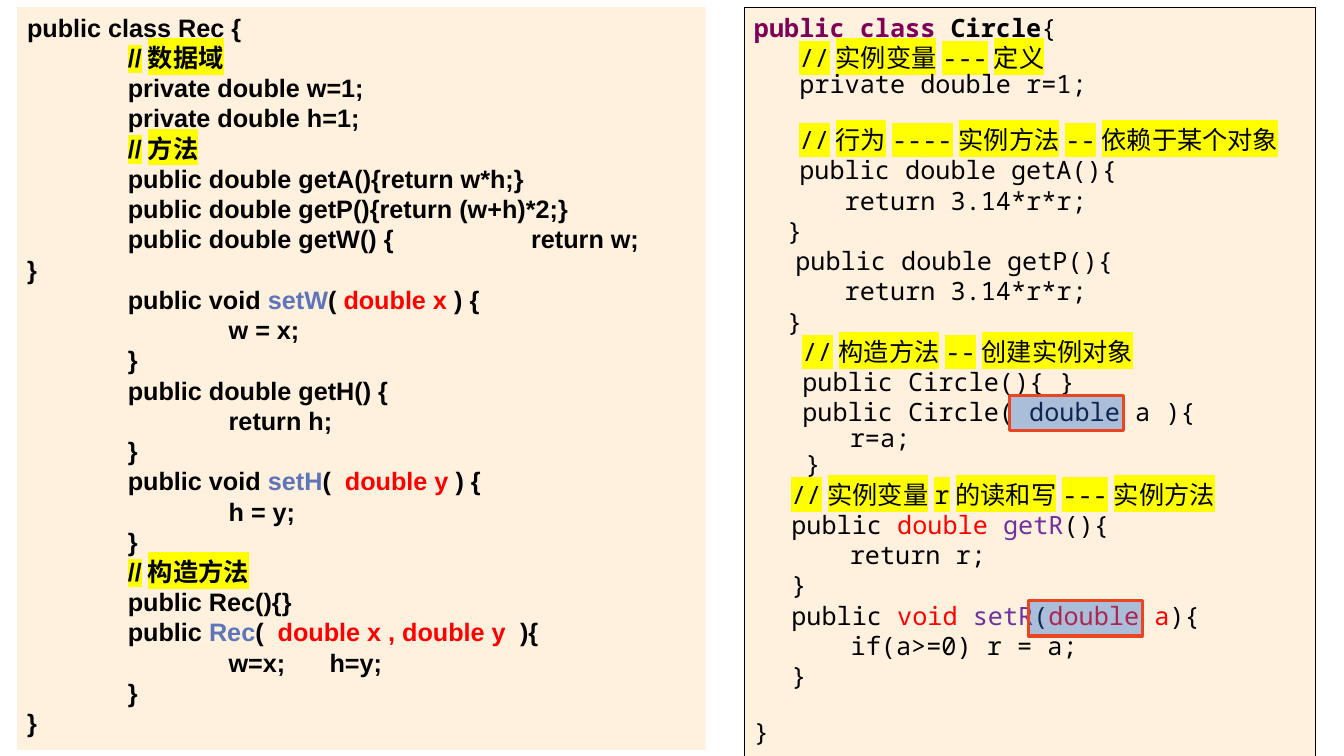
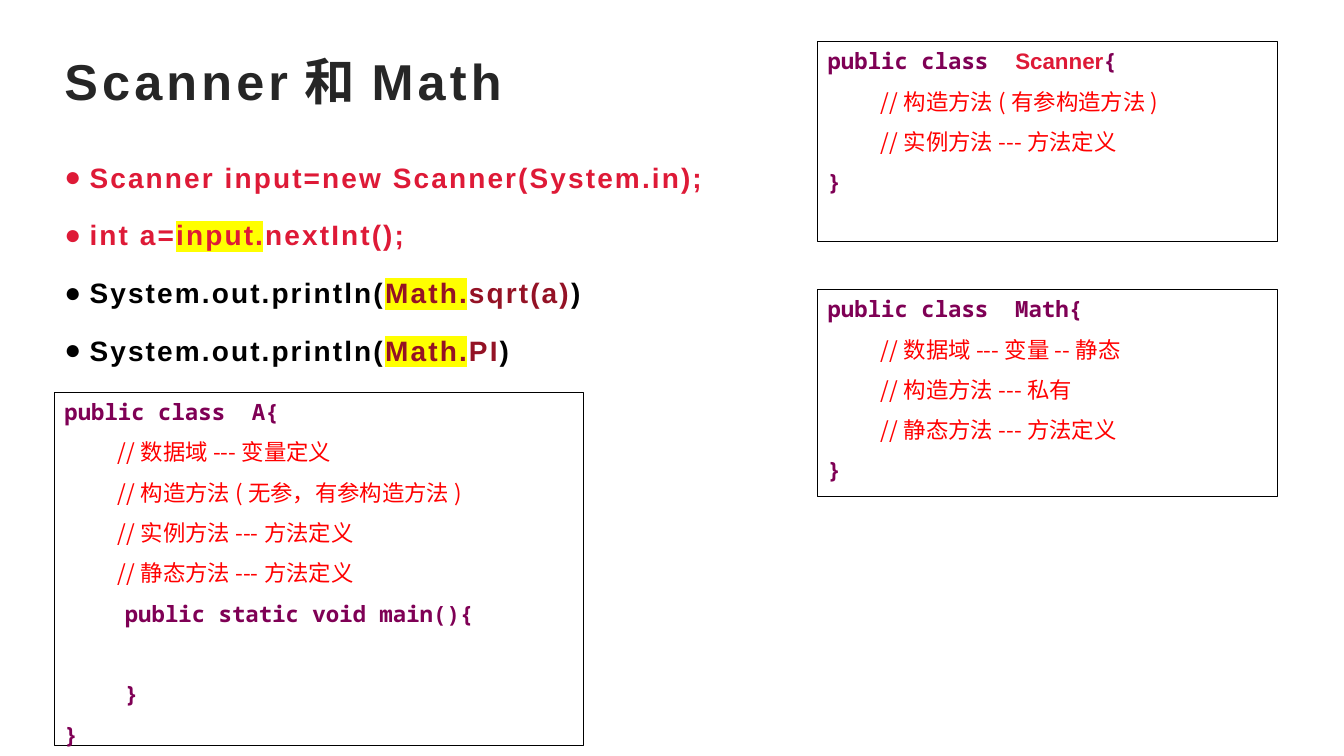
from lxml import etree
from pptx import Presentation
from pptx.dml.color import RGBColor
from pptx.enum.shapes import MSO_SHAPE
from pptx.enum.text import MSO_ANCHOR
from pptx.oxml.ns import qn
from pptx.util import Inches, Pt

RECT = MSO_SHAPE.RECTANGLE
TOP, MIDDLE = MSO_ANCHOR.TOP, MSO_ANCHOR.MIDDLE

BLACK = RGBColor(0x00, 0x00, 0x00)
WHITE = RGBColor(0xFF, 0xFF, 0xFF)
CREAM = RGBColor(0xFF, 0xF1, 0xDD)
YELLOW = RGBColor(0xFF, 0xFF, 0x00)
RED = RGBColor(0xFF, 0x00, 0x00)
CRIMSON = RGBColor(0xDE, 0x1A, 0x37)
MAROON = RGBColor(0x94, 0x12, 0x25)
PLUM = RGBColor(0x7F, 0x00, 0x55)
PURPLE = RGBColor(0x70, 0x30, 0xA0)
STEEL = RGBColor(0x5E, 0x75, 0xBA)
BLUE = RGBColor(0x21, 0x69, 0xD3)
ORANGE = RGBColor(0xE9, 0x45, 0x20)
CHARCOAL = RGBColor(0x26, 0x26, 0x26)

SANS, MONO, CJK = "Arial", "Noto Sans Mono", "Noto Sans CJK SC"

TITLE = {"size": Pt(36), "name": SANS, "bold": True, "color": CHARCOAL, "spacing": 3}
BODY = {"size": Pt(20), "name": SANS, "bold": True, "color": CRIMSON, "spacing": 1.5}
REC_CODE = {"size": Pt(18), "name": SANS, "bold": True, "color": BLACK}
CIRCLE_CODE = {"size": Pt(18), "name": MONO, "bold": False, "color": BLACK}
OUTLINE_CODE = {"size": Pt(16), "name": MONO, "bold": True, "color": PLUM}

MARK = {"highlight": YELLOW}
KEYWORD = {"bold": True, "color": PLUM}
STRONG = {"bold": True}
PARAM = {"color": RED}
METHOD = {"color": STEEL}
ACCESSOR = {"color": PURPLE}
PLAIN = {"color": BLACK}
STATIC = {"color": MAROON}
NOTE = {"name": CJK, "bold": False, "color": RED}
CLASS_NAME = {"name": SANS, "color": CRIMSON}

TIGHT = {"line_spacing": Pt(18.6)}
GAP = {"space_before": Pt(18.6)}
HEAD = {"line_spacing": Pt(20)}
ROW = {"line_spacing": 1.5}
BULLET = {"line_spacing": 1.3, "space_after": Pt(10)}
TAB_STOPS = range(1, 8)

REC_LINES = [
    ["public class Rec {"],
    ["\t", ("//数据域", MARK)],
    ["\tprivate double w=1;"],
    ["\tprivate double h=1;"],
    ["\t", ("//方法", MARK)],
    ["\tpublic double getA(){return w*h;}"],
    ["\tpublic double getP(){return (w+h)*2;}"],
    ["\tpublic double getW() {\t\treturn w;\t}"],
    ["\tpublic void ", ("setW", METHOD), "( ", ("double x ", PARAM), ") {"],
    ["\t\tw = x;"],
    ["\t}"],
    ["\tpublic double getH() {"],
    ["\t\treturn h;"],
    ["\t}"],
    ["\tpublic void", (" setH", METHOD), "(  ", ("double y ", PARAM), ") {"],
    ["\t\th = y;"],
    ["\t}"],
    ["\t", ("//构造方法", MARK)],
    ["\tpublic Rec(){}"],
    ["\tpublic ", ("Rec", METHOD), "(  ", ("double x , double y  ", PARAM), "){"],
    ["\t\tw=x;\th=y;"],
    ["\t}"],
    ["}"],
]

CIRCLE_LINES = [
    (0, [("public class ", KEYWORD), ("Circle", STRONG), "{"], {}),
    (0.45, [("//实例变量---定义", MARK)], {}),
    (0.45, ["private double r=1;"], TIGHT),
    (0.45, [("//行为----实例方法--依赖于某个对象", MARK)], GAP),
    (0.45, ["public double getA(){"], {}),
    (0.9, ["return 3.14*r*r;"], {}),
    (0.33, ["}"], {}),
    (0.41, ["public double getP(){"], {}),
    (0.9, ["return 3.14*r*r;"], {}),
    (0.33, ["}"], {}),
    (0.48, [("//构造方法--创建实例对象", MARK)], {}),
    (0.48, ["public Circle(){ }"], {}),
    (0.48, ["public Circle( double a ){"], {}),
    (0.95, ["r=a;"], TIGHT),
    (0.51, ["}"], TIGHT),
    (0.37, [("//实例变量r的读和写---实例方法", MARK)], {}),
    (0.37, ["public ", ("double ", PARAM), ("getR", ACCESSOR), "(){"], {}),
    (0.95, ["return r;"], {}),
    (0.37, ["}"], {}),
    (0.37, ["public ", ("void ", PARAM), ("setR", ACCESSOR), "(", ("double a", PARAM), "){"], {}),
    (0.96, ["if(a>=0) r = a;"], {}),
    (0.37, ["}"], {}),
    (0, ["}"], GAP),
]

BULLETS = [
    ["Scanner input=new Scanner(System.in);"],
    ["int a=", ("input.", MARK), "nextInt();"],
    [("System.out.println(", PLAIN), ("Math.", STATIC | MARK), ("sqrt(a)", STATIC), (")", PLAIN)],
    [("System.out.println(", PLAIN), ("Math.", STATIC | MARK), ("PI", STATIC), (")", PLAIN)],
]

MAIN_METHOD = [
    (0.6, ["public static void main(){"], ROW),
    (0.6, ["}"], ROW | {"space_before": Pt(29)}),
]

OUTLINES = [
    ((8.11, 0.41, 4.56, 1.99), ["public class  ", ("Scanner", CLASS_NAME), "{"],
     ["//构造方法(有参构造方法)", "//实例方法---方法定义"], []),
    ((8.11, 2.87, 4.56, 2.06), ["public class  Math{"],
     ["//数据域---变量--静态", "//构造方法---私有", "//静态方法---方法定义"], []),
    ((0.54, 3.89, 5.25, 3.51), ["public class  A{"],
     ["//数据域---变量定义", "//构造方法(无参，有参构造方法)",
      "//实例方法---方法定义", "//静态方法---方法定义"], MAIN_METHOD),
]


def add_run(p, text, fmt):
    r = p.add_run()
    r.text = text
    rPr = r._r.get_or_add_rPr()
    r.font.color.rgb = fmt["color"]
    if "highlight" in fmt:
        mark = etree.SubElement(rPr, qn("a:highlight"))
        etree.SubElement(mark, qn("a:srgbClr"), val=str(fmt["highlight"]))
    for key in ("size", "bold", "name"):
        setattr(r.font, key, fmt[key])
    etree.SubElement(rPr, qn("a:ea"), typeface=CJK)
    if "spacing" in fmt:
        rPr.set("spc", str(int(fmt["spacing"] * 100)))


def add_bullet(p):
    pPr = p._p.get_or_add_pPr()
    pPr.set("indent", str(-Inches(0.25)))
    etree.SubElement(pPr, qn("a:buFont"), typeface=SANS)
    etree.SubElement(pPr, qn("a:buChar"), char="●")


def add_tabs(p):
    tabs = etree.SubElement(p._p.get_or_add_pPr(), qn("a:tabLst"))
    for stop in TAB_STOPS:
        etree.SubElement(tabs, qn("a:tab"), pos=str(Inches(stop)), algn="l")


def fill_text(tf, lines, base, anchor=TOP, prepare=None):
    tf.word_wrap = True
    tf.vertical_anchor = anchor
    for i, (indent, runs, spacing) in enumerate(lines):
        p = tf.add_paragraph() if i else tf.paragraphs[0]
        p._p.get_or_add_pPr().set("marL", str(Inches(indent)))
        p._p.get_or_add_pPr().set("algn", "l")
        if prepare:
            prepare(p)
        for key, value in spacing.items():
            setattr(p, key, value)
        for run in runs:
            text, extra = (run, {}) if isinstance(run, str) else run
            add_run(p, text, base | extra)


def add_box(s, at, fill, line=None, width=0.75):
    sp = s.shapes.add_shape(RECT, *map(Inches, at))
    sp.shadow.inherit = False
    sp.fill.solid()
    sp.fill.fore_color.rgb = fill
    if line is None:
        sp.line.fill.background()
    else:
        sp.line.color.rgb = line
        sp.line.width = Pt(width)
    return sp


def add_marker(s, left, top):
    sp = add_box(s, (left, top, 1.13, 0.35), BLUE, ORANGE, 2.25)
    color = sp._element.spPr.find(qn("a:solidFill"))[0]
    etree.SubElement(color, qn("a:alpha"), val="38000")


def add_text(s, at, lines, base, **options):
    fill_text(s.shapes.add_textbox(*map(Inches, at)).text_frame, lines, base, **options)


def add_outline(s, at, head, notes, extra):
    lines = [(0, head, HEAD)]
    lines += [(0.53, [(note, NOTE)], ROW) for note in notes]
    lines += extra + [(0, ["}"], ROW)]
    fill_text(add_box(s, at, WHITE, BLACK).text_frame, lines, OUTLINE_CODE)


def add_classes_slide(s):
    circle = add_box(s, (7.38, 0.07, 5.67, 7.46), CREAM, BLACK)
    fill_text(circle.text_frame, CIRCLE_LINES, CIRCLE_CODE)
    add_marker(s, 10.01, 3.92)
    add_marker(s, 10.2, 5.96)
    rec = add_box(s, (0.17, 0.07, 6.83, 7.37), CREAM)
    fill_text(rec.text_frame, [(0, runs, {}) for runs in REC_LINES], REC_CODE,
              prepare=add_tabs)


def add_library_slide(s):
    add_text(s, (0.54, 0.41, 12, 0.77), [(0, ["Scanner和Math"], {})], TITLE, anchor=MIDDLE)
    add_text(s, (0.54, 1.44, 6.76, 2.45), [(0.25, runs, BULLET) for runs in BULLETS],
             BODY, prepare=add_bullet)
    for outline in OUTLINES:
        add_outline(s, *outline)


def main():
    prs = Presentation()
    prs.slide_width, prs.slide_height = Inches(13.33), Inches(7.5)
    for build in (add_classes_slide, add_library_slide):
        build(prs.slides.add_slide(prs.slide_layouts[6]))
    prs.save("out.pptx")


if __name__ == "__main__":
    main()
